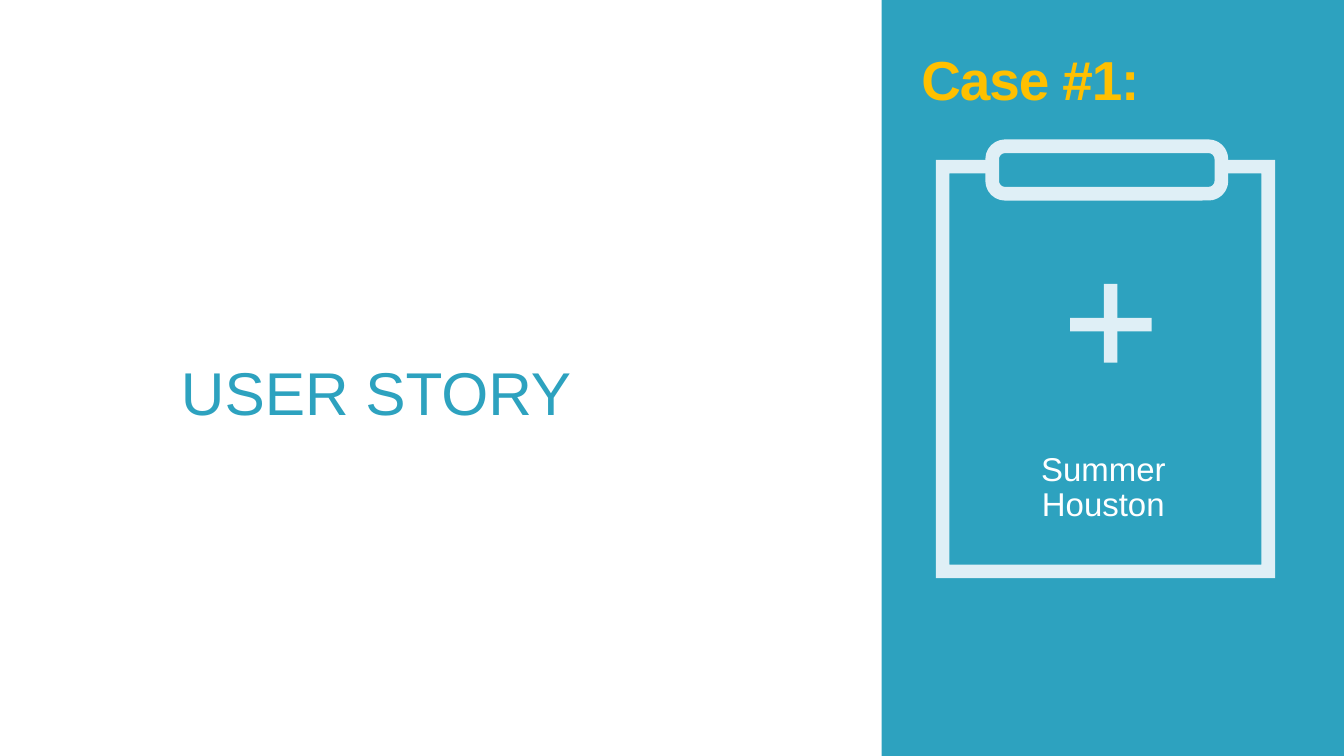
from dataclasses import dataclass

from pptx import Presentation
from pptx.dml.color import RGBColor
from pptx.enum.shapes import MSO_SHAPE
from pptx.enum.text import MSO_ANCHOR, PP_ALIGN
from pptx.util import Cm, Pt

RECT, ROUNDED = MSO_SHAPE.RECTANGLE, MSO_SHAPE.ROUNDED_RECTANGLE
TOP, BOTTOM = MSO_ANCHOR.TOP, MSO_ANCHOR.BOTTOM
LEFT, CENTER = PP_ALIGN.LEFT, PP_ALIGN.CENTER


@dataclass(frozen=True)
class Theme:
    font: str = "Arial"
    teal: str = "2DA2BF"
    pale: str = "DFEFF6"
    gold: str = "FFC000"
    white: str = "FFFFFF"
    heading_size: int = 44
    case_size: int = 40
    label_size: int = 24


def apply(target, values):
    for name, value in values.items():
        setattr(target, name, value)


class SlideBuilder:
    def __init__(self, slide, theme):
        self.shapes = slide.shapes
        self.theme = theme

    def paint(self, shape, color):
        shape.shadow.inherit = False
        shape.fill.solid()
        shape.fill.fore_color.rgb = RGBColor.from_string(color)
        shape.line.fill.background()

    def bar(self, box, color):
        self.paint(self.shapes.add_shape(RECT, *map(Cm, box)), color)

    def outline(self, points, color):
        start, *rest = [(Cm(x), Cm(y)) for x, y in points]
        builder = self.shapes.build_freeform(*start)
        builder.add_line_segments(rest, close=True)
        self.paint(builder.convert_to_shape(), color)

    def ring(self, box, thickness, corner, color):
        ring = self.shapes.add_shape(ROUNDED, *map(Cm, box))
        ring.adjustments[0] = corner
        ring.shadow.inherit = False
        ring.fill.background()
        ring.line.color.rgb = RGBColor.from_string(color)
        ring.line.width = Cm(thickness)

    def text(self, box, wording, size, color, inset, anchor=TOP, align=LEFT,
             after=0, bold=False, tracking=0):
        frame = self.shapes.add_textbox(*map(Cm, box)).text_frame
        side, edge = map(Cm, inset)
        apply(frame, {"word_wrap": True, "vertical_anchor": anchor,
                      "margin_left": side, "margin_right": side,
                      "margin_top": edge, "margin_bottom": edge})
        paragraph = frame.paragraphs[0]
        apply(paragraph, {"alignment": align, "line_spacing": 0.9,
                          "space_after": Pt(after)})
        run = paragraph.add_run()
        run.text = wording
        apply(run.font, {"name": self.theme.font, "size": Pt(size), "bold": bold})
        run.font.color.rgb = RGBColor.from_string(color)
        if tracking:
            run._r.get_or_add_rPr().set("spc", str(round(tracking * 100)))


def main():
    theme = Theme()
    deck = Presentation()
    width, height = 34.54, 19.43
    apply(deck, {"slide_width": Cm(width), "slide_height": Cm(height)})
    page = SlideBuilder(deck.slides.add_slide(deck.slide_layouts[6]), theme)

    # Side panel with the case title
    panel_left = 22.66
    page.bar((panel_left, 0, width - panel_left, height), theme.teal)
    page.text((23.27, 0.81, 11.23, 2.34), "Case #1:", theme.case_size, theme.gold,
              inset=(0.41, 0.25), anchor=BOTTOM, bold=True, tracking=-0.8)

    # Main heading
    roomy = (0.51, 0.41)
    page.text((4.14, 8.92, 17.15, 2.51), "USER STORY", theme.heading_size,
              theme.teal, inset=roomy, after=6)

    # Plus sign
    stroke = 0.35
    page.bar((28.37, 7.3, stroke, 2.02), theme.pale)
    page.bar((27.5, 8.17, 2.1, stroke), theme.pale)

    # Clipboard board, open at the top for the clip
    left, top, right, bottom = 24.05, 4.11, 32.77, 14.86
    gap_left, gap_right = 25.5, 31.39
    page.outline([
        (right, bottom), (left, bottom), (left, top), (gap_left, top),
        (gap_left, top + stroke), (left + stroke, top + stroke),
        (left + stroke, bottom - stroke), (right - stroke, bottom - stroke),
        (right - stroke, top + stroke), (gap_right, top + stroke),
        (gap_right, top), (right, top),
    ], theme.pale)

    # Clipboard clip
    page.ring((gap_left, 3.76, gap_right - gap_left, 1.22), stroke, 0.27, theme.pale)

    # Clipboard label
    page.text((24.71, 11.2, 7.29, 2.67), "Summer Houston", theme.label_size,
              theme.white, inset=roomy, anchor=BOTTOM, align=CENTER, after=6)

    deck.save("out.pptx")


if __name__ == "__main__":
    main()
